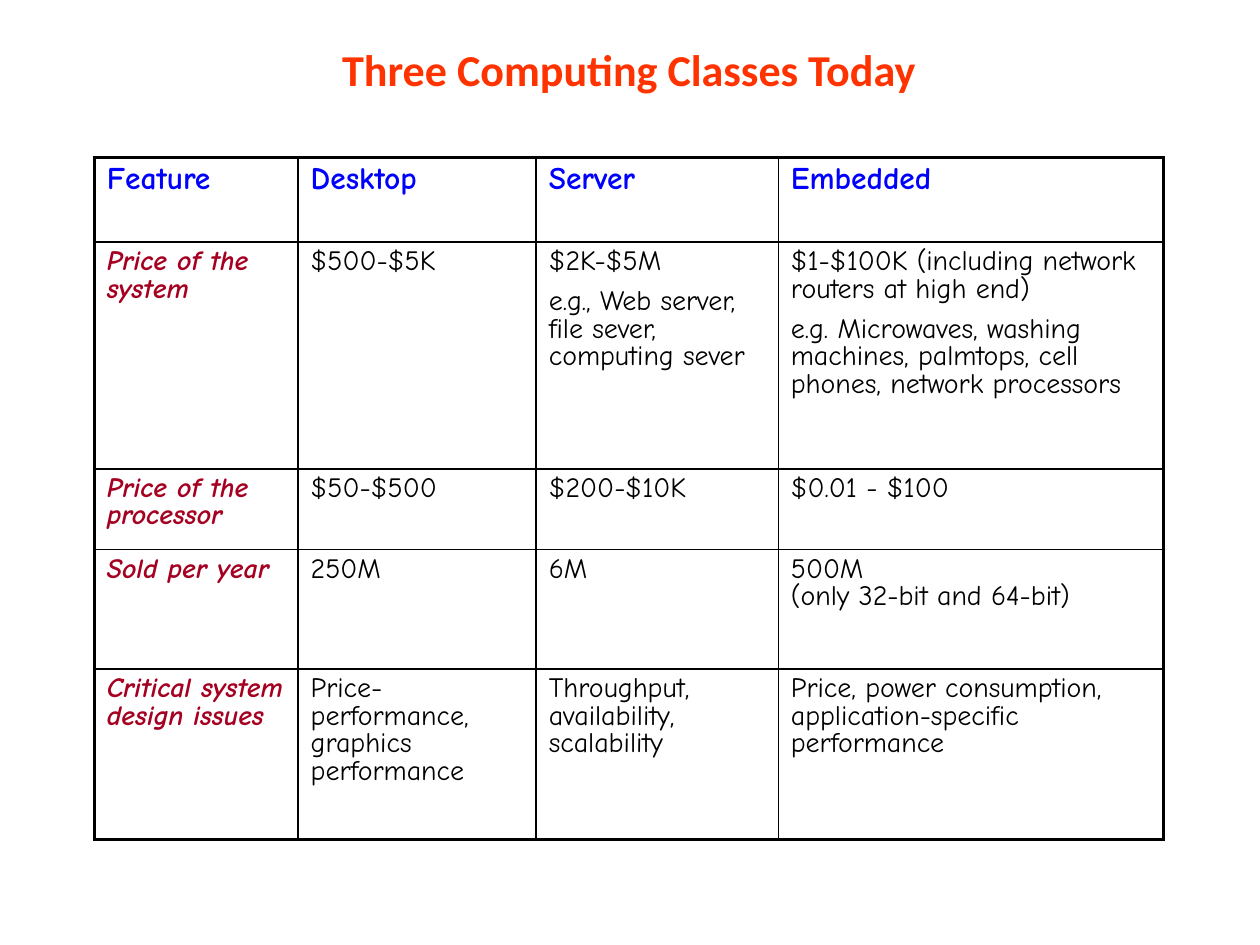
from lxml import etree
from pptx import Presentation
from pptx.dml.color import RGBColor
from pptx.enum.text import MSO_ANCHOR, PP_ALIGN
from pptx.oxml.ns import qn
from pptx.util import Cm, Pt

TOP = MSO_ANCHOR.TOP
LEFT, CENTER = PP_ALIGN.LEFT, PP_ALIGN.CENTER

BLACK = RGBColor(0x00, 0x00, 0x00)
BLUE = RGBColor(0x00, 0x00, 0xFF)
ORANGE = RGBColor(0xFF, 0x33, 0x00)
MAROON = RGBColor(0xA5, 0x00, 0x21)

THIN, THICK = 1, 2.25
COLS = [4.11, 4.8, 4.88, 7.77]
ROWS = [1.7, 4.57, 1.63, 2.41, 3.43]
DATA = [
    ["Feature", "Desktop", "Server", "Embedded"],
    ["Price of the system", "$500-$5K",
     "$2K-$5M\ne.g., Web server, file sever, computing sever",
     "$1-$100K (including network routers at high end)\n"
     "e.g. Microwaves, washing machines, palmtops, cell phones, network processors"],
    ["Price of the processor", "$50-$500", "$200-$10K", "$0.01 - $100"],
    ["Sold per year", "250M", "6M", "500M\v(only 32-bit and 64-bit)"],
    ["Critical system design issues", "Price-performance, graphics performance",
     "Throughput, availability, scalability",
     "Price, power consumption, application-specific performance"],
]


def write(frame, text, font="Comic Neue", size=16, color=BLACK, bold=False,
          italic=False, align=LEFT, lead=None, gap=0):
    frame.word_wrap = True
    frame.text = text
    for i, para in enumerate(frame.paragraphs):
        para.alignment = align
        para.line_spacing = lead
        para.space_before = Pt(gap if i else 0)
        for run in para.runs:
            run.font.name = font
            run.font.size = Pt(size)
            run.font.color.rgb = color
            run.font.bold = bold
            run.font.italic = italic


def edge(cell, widths):
    props = cell._tc.get_or_add_tcPr()
    for i, (side, width) in enumerate(widths.items()):
        line = etree.Element(qn(f"a:ln{side}"), w=str(Pt(width)))
        fill = etree.SubElement(line, qn("a:solidFill"))
        etree.SubElement(fill, qn("a:srgbClr"), val=str(BLACK))
        props.insert(i, line)


def add_title(slide, left, top, width, height):
    frame = slide.shapes.add_textbox(Cm(left), Cm(top), Cm(width), Cm(height)).text_frame
    frame.margin_top = frame.margin_bottom = 0
    frame.vertical_anchor = TOP
    write(frame, "Three Computing Classes Today", font="Calibri", size=25.2,
          color=ORANGE, bold=True, align=CENTER)


def add_grid(slide, left, top, width, height):
    rows, cols = len(ROWS), len(COLS)
    table = slide.shapes.add_table(rows, cols, Cm(left), Cm(top),
                                   Cm(width), Cm(height)).table
    table.first_row = table.horz_banding = False
    for col, size in zip(table.columns, COLS):
        col.width = Cm(size * width / sum(COLS))
    for row, size in zip(table.rows, ROWS):
        row.height = Cm(size * height / sum(ROWS))
    for r, line in enumerate(DATA):
        for c, text in enumerate(line):
            cell = table.cell(r, c)
            cell.fill.background()
            if r == 0:
                style = dict(size=18, color=BLUE, bold=True)
            elif c == 0:
                style = dict(color=MAROON, bold=True, italic=True)
            else:
                style = {}
            write(cell.text_frame, text, lead=0.86, gap=7, **style)
            edge(cell, {
                "L": THICK if c == 0 else THIN,
                "R": THICK if c == cols - 1 else THIN,
                "T": THICK if r == 0 else THIN,
                "B": THICK if r == rows - 1 else THIN,
            })


def main():
    deck = Presentation()
    deck.slide_width, deck.slide_height = Cm(25.4), Cm(19.05)
    slide = deck.slides.add_slide(deck.slide_layouts[6])
    add_title(slide, 1.9, 0.85, 21.56, 1.68)
    add_grid(slide, 1.9, 3.18, 21.56, 13.74)
    deck.save("out.pptx")


if __name__ == "__main__":
    main()
